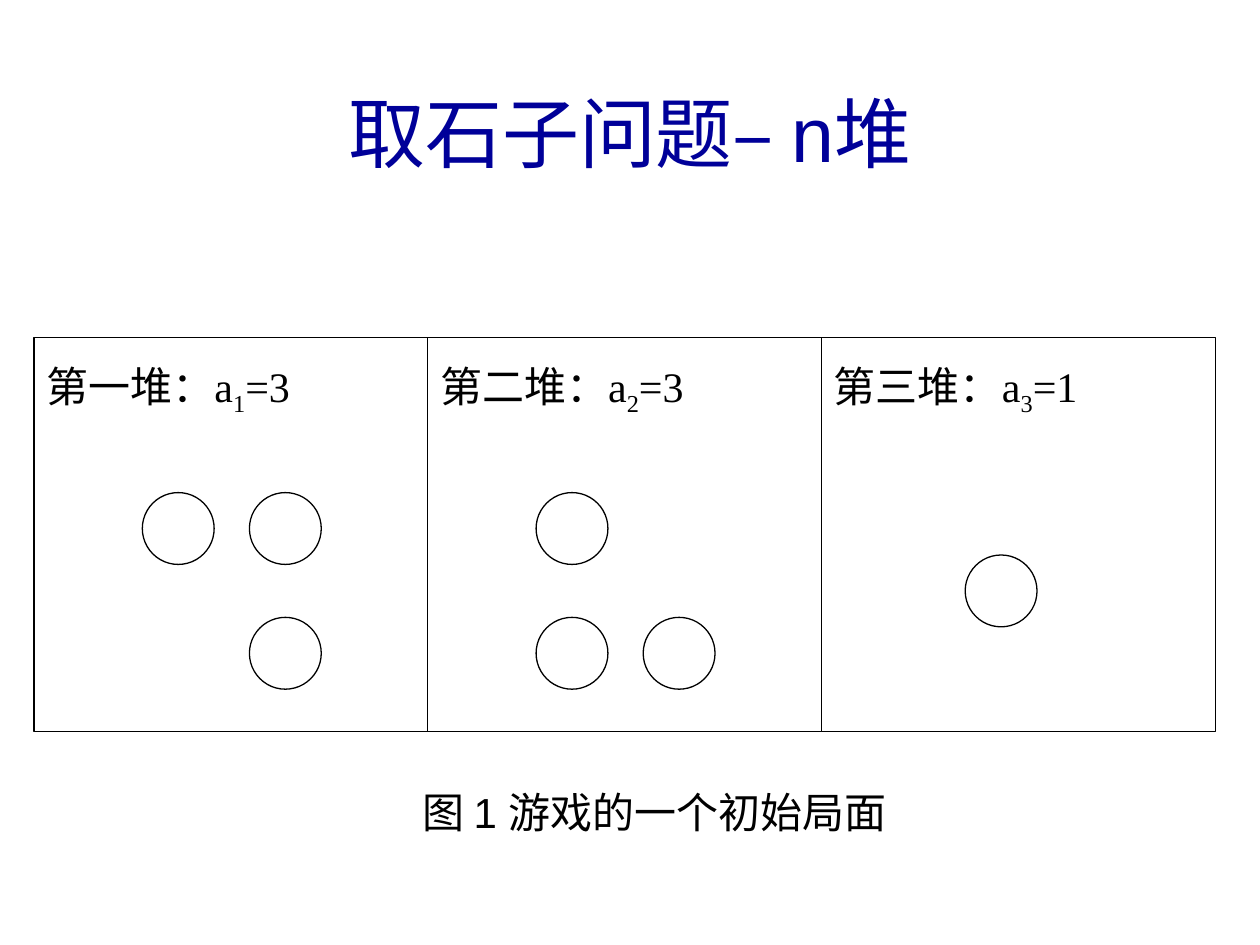
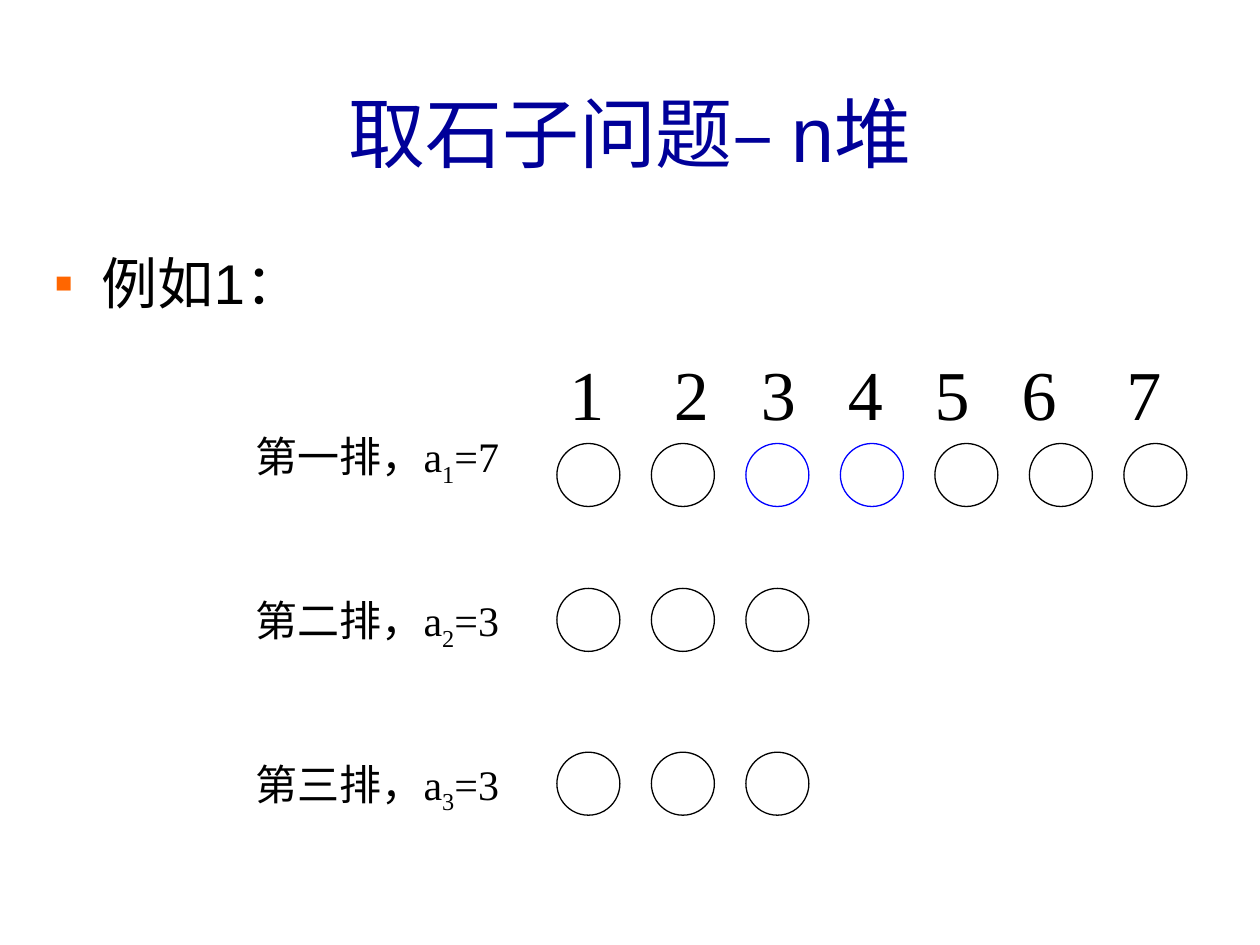
import itertools

import lxml.etree
import pptx
import pptx.dml.color
import pptx.enum.shapes
import pptx.enum.text
import pptx.oxml.ns
import pptx.util

WIDE, HIGH = 10, 7.5
SANS, SERIF = "Arial", "Times New Roman"
NAVY, BLACK, WHITE, BLUE, ORANGE = "000099", "000000", "FFFFFF", "0000FF", "FF6600"
TITLE = "取石子问题– n堆"

PILES = [
    ("第一堆：a", "1", "=3", [(0, 0), (1, 0), (1, 1)]),
    ("第二堆：a", "2", "=3", [(0, 0), (1, 1), (0, 1)]),
    ("第三堆：a", "3", "=1", [(0.33, 0.5)]),
]
CAPTION = "图 1 游戏的一个初始局面"

LEAD = "例如1："
ROWS = [
    ("第一排，a", "1", "=7", 3.52, 3.37, 7, (2, 3)),
    ("第二排，a", "2", "=3", 4.67, 4.67, 3, ()),
    ("第三排，a", "3", "=3", 5.97, 5.97, 3, ()),
]
DIGITS = "1234567"
GAPS = [0.83, 0.69, 0.69, 0.69, 0.69, 0.83]

CELL, LEFT, TOP = 3.125, 0.27, 2.68
STONE, BALL, STEP = 0.57, 0.5, 0.75
FIRST = 4.42

ALIGN = pptx.enum.text.PP_ALIGN
ANCHOR = pptx.enum.text.MSO_ANCHOR
KIND = pptx.enum.shapes.MSO_SHAPE
inch = pptx.util.Inches


def color(code):
    return pptx.dml.color.RGBColor.from_string(code)


def style(para, size, face, code, align):
    para.alignment = align
    para.font.size = pptx.util.Pt(size)
    para.font.name = face
    para.font.color.rgb = color(code)


def child(node, tag, **attrs):
    return lxml.etree.SubElement(node, pptx.oxml.ns.qn(tag), attrs)


def start(deck):
    slide = deck.slides.add_slide(deck.slide_layouts[5])
    title = slide.shapes.title
    title.left, title.top = inch(0.33), inch(0.42)
    title.width, title.height = inch(WIDE - 0.66), inch(1.25)
    title.text_frame.vertical_anchor = ANCHOR.MIDDLE
    title.text_frame.text = TITLE
    style(title.text_frame.paragraphs[0], 44, SANS, NAVY, ALIGN.CENTER)
    return slide


def box(slide, x, y, w, h, text="", anchor=ANCHOR.TOP):
    frame = slide.shapes.add_textbox(inch(x), inch(y), inch(w), inch(h)).text_frame
    frame.word_wrap = True
    frame.vertical_anchor = anchor
    para = frame.paragraphs[0]
    if text:
        para.add_run().text = text
    return para


def label(slide, x, y, w, h, name, index, count):
    para = box(slide, x, y, w, h, name)
    sub = para.add_run()
    sub.text = index
    sub.font._element.set("baseline", "-25000")
    para.add_run().text = count
    style(para, 24, SERIF, BLACK, ALIGN.JUSTIFY)


def shape(slide, kind, x, y, size, edge=BLACK):
    item = slide.shapes.add_shape(kind, inch(x), inch(y), inch(size), inch(size))
    item.shadow.inherit = False
    item.fill.solid()
    item.fill.fore_color.rgb = color(WHITE)
    item.line.color.rgb = color(edge)
    item.line.width = pptx.util.Pt(0.75)


def piles(deck):
    slide = start(deck)
    for num, (name, index, count, stones) in enumerate(PILES):
        x = LEFT + num * CELL
        shape(slide, KIND.RECTANGLE, x, TOP, CELL)
        for col, row in stones:
            shape(slide, KIND.OVAL, x + 0.86 + col * 0.85, TOP + 1.23 + row * 0.99, STONE)
        label(slide, x, TOP + 0.13, CELL, 1.11, name, index, count)
    para = box(slide, 3.03, 6.19, 4.33, 0.5, CAPTION, ANCHOR.MIDDLE)
    style(para, 24, SANS, BLACK, ALIGN.CENTER)


def rows(deck):
    slide = start(deck)
    para = box(slide, 0.33, 1.92, WIDE - 0.66, 0.7, LEAD)
    props = para._p.get_or_add_pPr()
    props.set("marL", str(inch(0.38)))
    props.set("indent", str(-inch(0.38)))
    child(child(props, "a:buClr"), "a:srgbClr", val=ORANGE)
    child(props, "a:buFont", typeface=SANS)
    child(props, "a:buChar", char="▪")
    style(para, 32, SANS, BLACK, ALIGN.LEFT)

    para = box(slide, FIRST, 2.73, 4.99, 0.86, "\t".join(DIGITS))
    tabs = child(para._p.get_or_add_pPr(), "a:tabLst")
    for stop in itertools.accumulate(GAPS):
        child(tabs, "a:tab", pos=str(inch(stop)), algn="l")
    style(para, 40, SERIF, BLACK, ALIGN.LEFT)

    for name, index, count, y, text_y, total, marked in ROWS:
        label(slide, 1.93, text_y, 2.24, 0.86, name, index, count)
        for num in range(total):
            edge = BLUE if num in marked else BLACK
            shape(slide, KIND.OVAL, FIRST + num * STEP, y, BALL, edge)


def main():
    deck = pptx.Presentation()
    deck.slide_width, deck.slide_height = inch(WIDE), inch(HIGH)
    piles(deck)
    rows(deck)
    deck.save("out.pptx")


if __name__ == "__main__":
    main()
